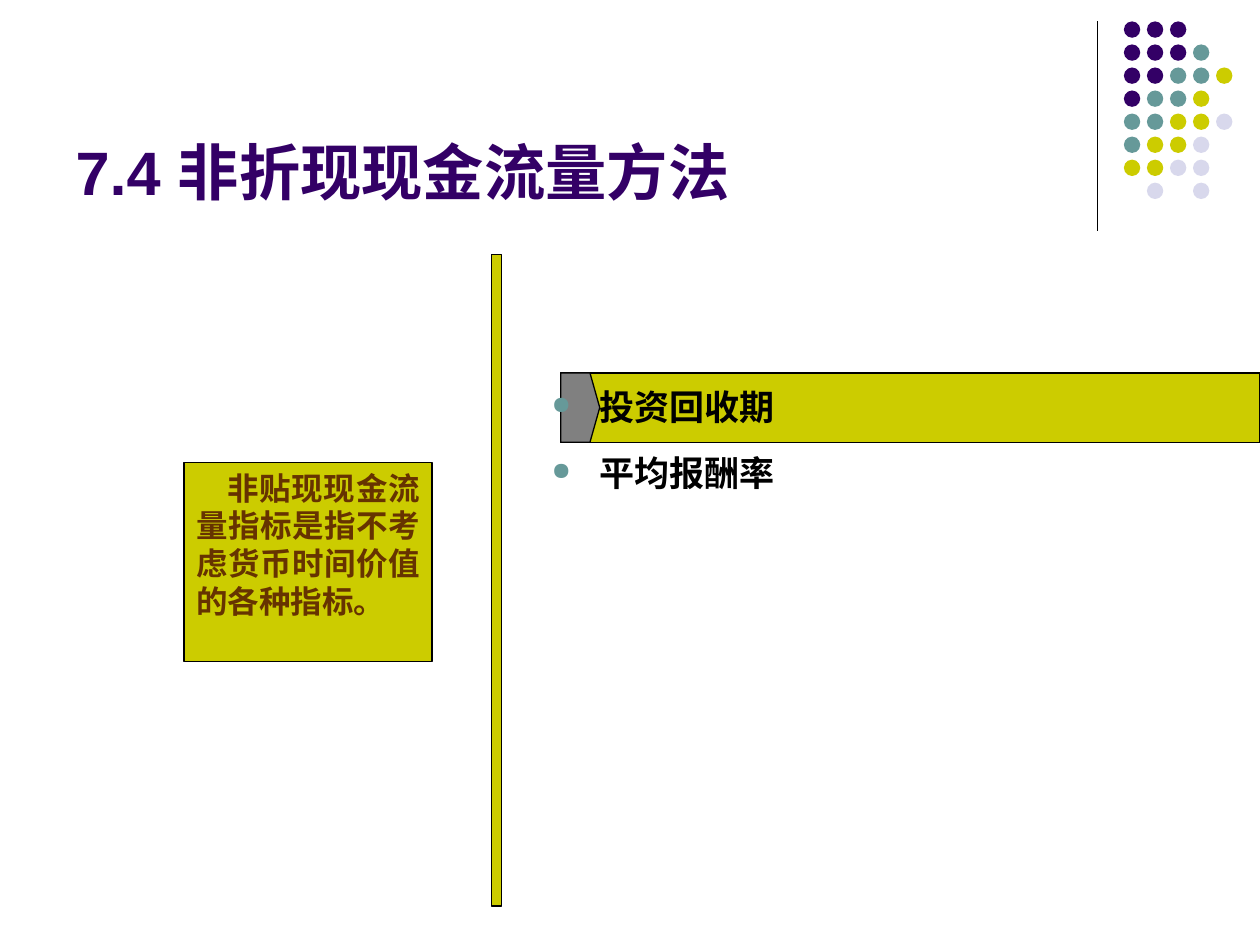
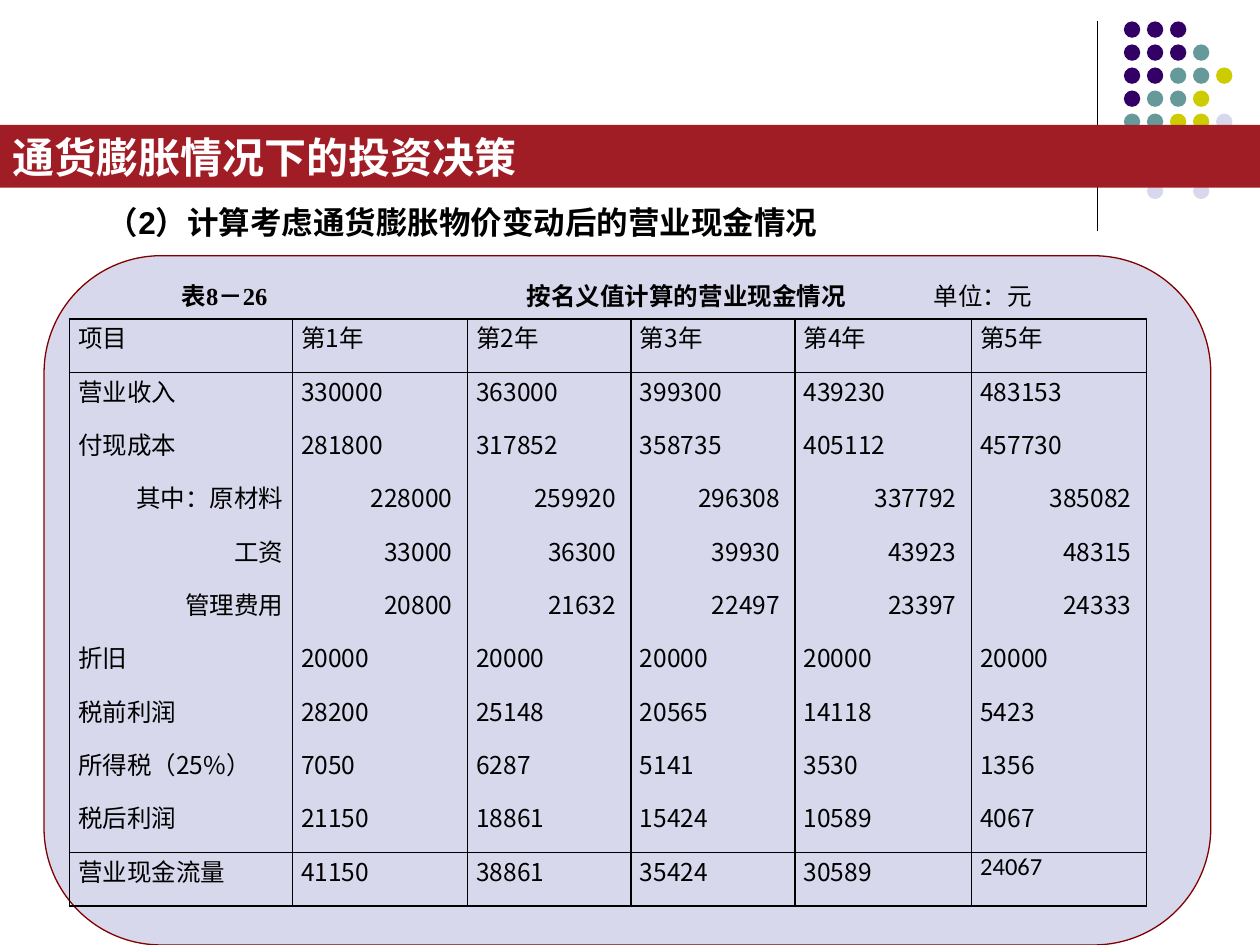
from dataclasses import dataclass
from typing import Any, Optional

from lxml.etree import SubElement
from pptx import Presentation
from pptx.dml.color import RGBColor
from pptx.enum.shapes import MSO_CONNECTOR, MSO_SHAPE as Preset
from pptx.enum.text import MSO_ANCHOR as Anchor, MSO_AUTO_SIZE as AutoSize, PP_ALIGN as Align
from pptx.oxml.ns import qn
from pptx.util import Inches, Pt

PURPLE = RGBColor(0x33, 0x00, 0x66)
TEAL = RGBColor(0x66, 0x99, 0x99)
OLIVE = RGBColor(0xCC, 0xCC, 0x00)
LAVENDER = RGBColor(0xD8, 0xD8, 0xEC)
GRAY = RGBColor(0x80, 0x80, 0x80)
BROWN = RGBColor(0x66, 0x33, 0x00)
MAROON = RGBColor(0x80, 0x00, 0x00)
CRIMSON = RGBColor(0xA1, 0x1D, 0x26)
BLACK = RGBColor(0x00, 0x00, 0x00)
WHITE = RGBColor(0xFF, 0xFF, 0xFF)

CJK = "Noto Sans CJK SC"
SERIF = "Times New Roman"
DOT_COLORS = {"P": PURPLE, "T": TEAL, "Y": OLIVE, "L": LAVENDER}
DOT_ROWS = ["PPP", "PPPT", "PPTTY", "PTTY", "TTYYL", "TYYL", "YYLL", " L L"]
DOT_PITCH = Inches(1.28) / 7


@dataclass(frozen=True)
class Box:
    left: float
    top: float
    width: float
    height: float

    def lengths(self) -> tuple:
        return tuple(Inches(v) for v in (self.left, self.top, self.width, self.height))


@dataclass(frozen=True)
class TextStyle:
    size: float
    color: RGBColor = BLACK
    bold: bool = True
    name: str = CJK


@dataclass(frozen=True)
class Panel:
    box: Box
    fill: RGBColor
    line: Optional[RGBColor] = BLACK
    preset: Any = Preset.RECTANGLE
    adjustment: Optional[float] = None


@dataclass(frozen=True)
class CashRow:
    label: str
    values: tuple
    detail: bool = False
    ruled: bool = False


CASH_ROWS = [
    CashRow("项目", tuple(f"第{year}年" for year in range(1, 6)), ruled=True),
    CashRow("营业收入", (330000, 363000, 399300, 439230, 483153)),
    CashRow("付现成本", (281800, 317852, 358735, 405112, 457730)),
    CashRow("其中：原材料", (228000, 259920, 296308, 337792, 385082), detail=True),
    CashRow("工资", (33000, 36300, 39930, 43923, 48315), detail=True),
    CashRow("管理费用", (20800, 21632, 22497, 23397, 24333), detail=True),
    CashRow("折旧", (20000,) * 5),
    CashRow("税前利润", (28200, 25148, 20565, 14118, 5423)),
    CashRow("所得税（25%）", (7050, 6287, 5141, 3530, 1356)),
    CashRow("税后利润", (21150, 18861, 15424, 10589, 4067)),
    CashRow("营业现金流量", (41150, 38861, 35424, 30589, 24067), ruled=True),
]
CASH_WIDTHS = [1.77, 1.39, 1.3, 1.3, 1.4, 1.39]
CASH_ROW_HEIGHT = 5.08 / 12


def apply(target: Any, values: dict) -> None:
    for key, value in values.items():
        setattr(target, key, value)


def add_run(paragraph: Any, text: str, style: TextStyle) -> None:
    run = paragraph.add_run()
    run.text = text
    apply(run.font, {"size": Pt(style.size), "bold": style.bold, "name": style.name})
    run.font.color.rgb = style.color
    SubElement(run.font._element, qn("a:ea"), typeface=CJK)


def add_panel(slide: Any, panel: Panel) -> Any:
    shape = slide.shapes.add_shape(panel.preset, *panel.box.lengths())
    shape.shadow.inherit = False
    shape.fill.solid()
    shape.fill.fore_color.rgb = panel.fill
    if panel.line is None:
        shape.line.fill.background()
    else:
        shape.line.color.rgb = panel.line
        shape.line.width = Pt(0.75)
    if panel.adjustment is not None:
        shape.adjustments[0] = panel.adjustment
    return shape


def add_text(slide: Any, box: Box) -> Any:
    frame = slide.shapes.add_textbox(*box.lengths()).text_frame
    frame.word_wrap = True
    return frame


def add_corner(slide: Any, covered_rows: tuple = ()) -> None:
    rule = slide.shapes.add_connector(
        MSO_CONNECTOR.STRAIGHT, Inches(8.71), Inches(0.17), Inches(8.71), Inches(1.83))
    rule.line.color.rgb = BLACK
    rule.line.width = Pt(0.75)
    SubElement(rule.element.spPr, qn("a:effectLst"))
    for row, codes in enumerate(DOT_ROWS):
        for column, code in enumerate(codes):
            if code in DOT_COLORS and row not in covered_rows:
                dot = add_panel(slide, Panel(Box(8.92, 0.17, 0.13, 0.13),
                                             DOT_COLORS[code], None, Preset.OVAL))
                dot.left += round(column * DOT_PITCH)
                dot.top += round(row * DOT_PITCH)


def place_title(slide: Any, text: str, box: Box, style: TextStyle, anchor: Any) -> Any:
    title = slide.shapes.title
    apply(title, dict(zip(("left", "top", "width", "height"), box.lengths())))
    apply(title.text_frame, {"word_wrap": True, "auto_size": AutoSize.NONE,
                             "vertical_anchor": anchor})
    paragraph = title.text_frame.paragraphs[0]
    paragraph.alignment = Align.LEFT
    add_run(paragraph, text, style)
    return title


def set_bullet(paragraph: Any) -> None:
    properties = paragraph._p.get_or_add_pPr()
    apply_indent(paragraph, 0.76, -0.38)
    color = SubElement(properties, qn("a:buClr"))
    SubElement(color, qn("a:srgbClr"), val=str(TEAL))
    SubElement(properties, qn("a:buSzPct"), val="70000")
    SubElement(properties, qn("a:buChar"), char="●")


def apply_indent(paragraph: Any, margin: float, indent: float) -> None:
    properties = paragraph._p.get_or_add_pPr()
    properties.set("marL", str(Inches(margin)))
    properties.set("indent", str(Inches(indent)))


def set_borders(cell: Any, sides: str) -> None:
    properties = cell._tc.get_or_add_tcPr()
    for side in "LRTB":
        border = SubElement(properties, qn(f"a:ln{side}"), w=str(Pt(1)))
        if side in sides:
            fill = SubElement(border, qn("a:solidFill"))
            SubElement(fill, qn("a:srgbClr"), val=str(BLACK))
        else:
            SubElement(border, qn("a:noFill"))


def fill_caption(table: Any) -> None:
    caption = table.cell(0, 0)
    caption.merge(table.cell(0, len(CASH_WIDTHS) - 1))
    for column in range(len(CASH_WIDTHS)):
        set_borders(table.cell(0, column), "B")
        table.cell(0, column).fill.background()
    caption.vertical_anchor = Anchor.BOTTOM
    paragraph = caption.text_frame.paragraphs[0]
    tabs = SubElement(paragraph._p.get_or_add_pPr(), qn("a:tabLst"))
    for position in (0.79, 3.53, 6.76):
        SubElement(tabs, qn("a:tab"), pos=str(Inches(position)), algn="l")
    for text, name in (("\t表", CJK), ("8", SERIF), ("－", CJK), ("26", SERIF),
                       ("\t按名义值计算的营业现金情况", CJK)):
        add_run(paragraph, text, TextStyle(14, name=name))
    add_run(paragraph, "\t单位：元", TextStyle(14, bold=False))


def add_cash_table(slide: Any) -> None:
    frame = slide.shapes.add_table(len(CASH_ROWS) + 1, len(CASH_WIDTHS),
                                   *Box(0.55, 2.11, 8.55, 5.08).lengths())
    table = frame.table
    apply(table, {"first_row": False, "horz_banding": False})
    for style_id in frame.element.iter(qn("a:tableStyleId")):
        style_id.text = "{2D5ABB26-0587-4C30-8999-92F81FD0307C}"
    for column, width in zip(table.columns, CASH_WIDTHS):
        column.width = Inches(width)
    for table_row in table.rows:
        table_row.height = Inches(CASH_ROW_HEIGHT)
    fill_caption(table)
    last = len(CASH_ROWS)
    for index, row in enumerate(CASH_ROWS, start=1):
        sides = "LRTB" if row.ruled else "LR"
        if index == 2:
            sides += "T"
        if index == last - 1:
            sides += "B"
        for column, value in enumerate((row.label, *row.values)):
            cell = table.cell(index, column)
            right = 0.12 if row.detail and column else 0.07
            apply(cell, {"margin_left": Inches(0.07), "margin_right": Inches(right),
                         "margin_top": 0, "margin_bottom": 0})
            set_borders(cell, sides)
            cell.fill.background()
            paragraph = cell.text_frame.paragraphs[0]
            paragraph.alignment = Align.RIGHT if row.detail else Align.JUSTIFY
            closing = index == last and column == len(row.values)
            add_run(paragraph, str(value),
                    TextStyle(14, bold=False, name="Calibri" if closing else CJK))


def build_methods(slide: Any) -> None:
    add_corner(slide)
    place_title(slide, "7.4 非折现现金流量方法", Box(0.5, 0.36, 8.25, 1.34),
                TextStyle(35, PURPLE, name="Arial"), Anchor.BOTTOM)
    add_panel(slide, Panel(Box(4.45, 2.96, 5.55, 0.55), OLIVE))
    add_panel(slide, Panel(Box(4.45, 2.96, 0.31, 0.55), GRAY,
                           preset=Preset.PENTAGON, adjustment=0.25))
    methods = add_text(slide, Box(3.9, 2.88, 5.77, 4.03))
    for index, method in enumerate(("投资回收期", "平均报酬率")):
        paragraph = methods.add_paragraph() if index else methods.paragraphs[0]
        set_bullet(paragraph)
        apply(paragraph, {"line_spacing": 1.4, "space_before": Pt(4 if index else 0)})
        add_run(paragraph, method, TextStyle(20))
    definition = add_panel(slide, Panel(Box(1.46, 3.67, 1.97, 1.58), OLIVE)).text_frame
    apply(definition, {"word_wrap": True, "vertical_anchor": Anchor.TOP})
    paragraph = definition.paragraphs[0]
    paragraph.alignment = Align.JUSTIFY
    apply_indent(paragraph, 0, 0.25)
    add_run(paragraph, "非贴现现金流量指标是指不考虑货币时间价值的各种指标。", TextStyle(18, BROWN))
    add_panel(slide, Panel(Box(3.9, 2.02, 0.08, 5.17), OLIVE))


def build_inflation(slide: Any) -> None:
    add_corner(slide, covered_rows=(5, 6))
    add_panel(slide, Panel(Box(0.35, 2.03, 9.26, 5.47), LAVENDER, MAROON,
                           Preset.ROUNDED_RECTANGLE, 0.17))
    add_cash_table(slide)
    band = place_title(slide, "通货膨胀情况下的投资决策", Box(0, 0.99, 10, 0.5),
                       TextStyle(24, WHITE, name="Arial"), Anchor.MIDDLE)
    band.fill.solid()
    band.fill.fore_color.rgb = CRIMSON
    band.element.getparent().append(band.element)
    step = add_text(slide, Box(0.75, 1.56, 6.52, 0.4))
    add_run(step.paragraphs[0], "（2）计算考虑通货膨胀物价变动后的营业现金情况",
            TextStyle(18, name="Arial"))


def main() -> None:
    deck = Presentation()
    apply(deck, {"slide_width": Inches(10), "slide_height": Inches(7.5)})
    title_only = deck.slide_layouts[5]
    for build in (build_methods, build_inflation):
        build(deck.slides.add_slide(title_only))
    deck.save("out.pptx")


if __name__ == "__main__":
    main()
